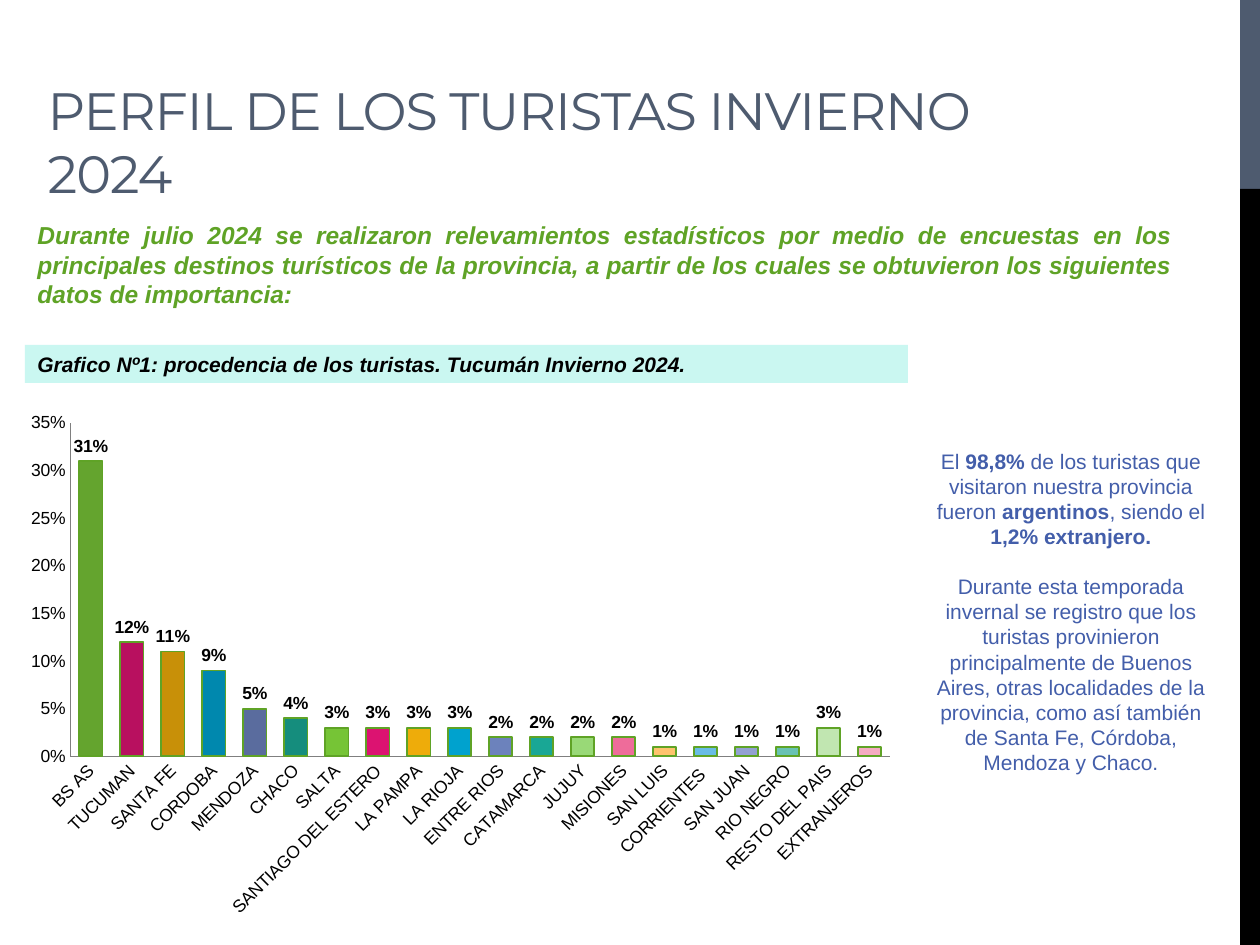
from lxml import etree
from pptx import Presentation
from pptx.chart.data import CategoryChartData
from pptx.dml.color import RGBColor
from pptx.enum.chart import XL_CHART_TYPE, XL_LABEL_POSITION, XL_TICK_MARK
from pptx.enum.shapes import MSO_SHAPE
from pptx.enum.text import MSO_ANCHOR, MSO_AUTO_SIZE, PP_ALIGN
from pptx.oxml.ns import qn
from pptx.util import Pt

COLUMN = XL_CHART_TYPE.COLUMN_CLUSTERED
OUTSIDE = XL_LABEL_POSITION.OUTSIDE_END
NO_TICK = XL_TICK_MARK.NONE
RECTANGLE = MSO_SHAPE.RECTANGLE
TOP, MIDDLE, BOTTOM = MSO_ANCHOR.TOP, MSO_ANCHOR.MIDDLE, MSO_ANCHOR.BOTTOM
LEFT, CENTER, JUSTIFY = PP_ALIGN.LEFT, PP_ALIGN.CENTER, PP_ALIGN.JUSTIFY
NO_FIT = MSO_AUTO_SIZE.NONE

PX_PER_INCH = 126
COLORS = {
    "slate": "4E5B6F",
    "black": "000000",
    "mint": "CAF7F1",
    "green": "5FA326",
    "blue": "435EAA",
    "axis": "7F7F7F",
}
BAR_COLORS = [
    "64A42E", "B8105F", "C89008", "0088AE", "5A6C9E", "158D7D",
    "76C436", "DC1371", "EEAC0A", "00A2CE", "6C82BC", "19A795",
    "99D977", "EE6C9A", "FEC36D", "69BCE5", "93A1D2", "69C2B3",
    "C1E6B1", "F5ABC2",
]
ORIGINS = [
    ("BS AS", 0.31), ("TUCUMAN", 0.12), ("SANTA FE", 0.11), ("CORDOBA", 0.09),
    ("MENDOZA", 0.05), ("CHACO", 0.04), ("SALTA", 0.03),
    ("SANTIAGO DEL ESTERO", 0.03), ("LA PAMPA", 0.03), ("LA RIOJA", 0.03),
    ("ENTRE RIOS", 0.02), ("CATAMARCA", 0.02), ("JUJUY", 0.02),
    ("MISIONES", 0.02), ("SAN LUIS", 0.01), ("CORRIENTES ", 0.01),
    ("SAN JUAN", 0.01), ("RIO NEGRO", 0.01), ("RESTO DEL PAIS", 0.03),
    ("EXTRANJEROS", 0.01),
]
INTRO = (
    "Durante julio 2024 se realizaron relevamientos estadísticos por medio de "
    "encuestas en los principales destinos turísticos de la provincia, a partir "
    "de los cuales se obtuvieron los siguientes datos de importancia:"
)
CAPTION = "Grafico Nº1: procedencia de los turistas. Tucumán Invierno 2024."
FINDINGS = [
    [
        ("El ", False),
        ("98,8%", True),
        (" de los turistas que visitaron nuestra provincia fueron ", False),
        ("argentinos", True),
        (", siendo el ", False),
        ("1,2% extranjero.", True),
    ],
    [
        ("Durante esta temporada invernal se registro que los turistas provinieron "
         "principalmente de Buenos Aires, otras localidades de la provincia, como "
         "así también de Santa Fe, Córdoba, Mendoza y Chaco.", False),
    ],
]


def px(value):
    return round(value * 914400 / PX_PER_INCH)


def box(*lengths):
    return [px(length) for length in lengths]


def rgb(name):
    return RGBColor.from_string(COLORS[name])


def set_font(font, size, color, name="Arial", bold=False, italic=False):
    font.name = name
    font.size = Pt(size)
    font.color.rgb = rgb(color)
    font.bold = bold
    font.italic = italic


def add_rectangle(slide, bounds, color):
    shape = slide.shapes.add_shape(RECTANGLE, *box(*bounds))
    shape.shadow.inherit = False
    shape.fill.solid()
    shape.fill.fore_color.rgb = rgb(color)
    shape.line.fill.background()
    return shape


def write_text(shape, paragraphs, size, color, alignment, anchor, italic=False, gap=0):
    frame = shape.text_frame
    frame.word_wrap = True
    frame.auto_size = NO_FIT
    frame.vertical_anchor = anchor
    for index, runs in enumerate(paragraphs):
        paragraph = frame.add_paragraph() if index else frame.paragraphs[0]
        paragraph.alignment = alignment
        if index:
            paragraph.space_before = Pt(gap)
        for text, bold in runs:
            run = paragraph.add_run()
            run.text = text
            set_font(run.font, size, color, bold=bold, italic=italic)


def set_title(slide, text):
    title = slide.shapes.title
    title.left, title.top, title.width, title.height = box(35, 21, 983, 189)
    frame = title.text_frame
    frame.word_wrap = True
    frame.auto_size = NO_FIT
    frame.vertical_anchor = BOTTOM
    paragraph = frame.paragraphs[0]
    paragraph.alignment = LEFT
    run = paragraph.add_run()
    run.text = text
    set_font(run.font, 30, "slate", name="Montserrat")
    run.font._element.set("spc", "-60")


def format_axis(axis):
    axis.has_major_gridlines = False
    axis.major_tick_mark = NO_TICK
    axis.minor_tick_mark = NO_TICK
    axis.format.line.color.rgb = rgb("axis")
    axis.format.line.width = Pt(0.75)
    set_font(axis.tick_labels.font, 10, "black")


def place_plot(chart, fractions):
    plot_area = chart._chartSpace.find(".//" + qn("c:plotArea"))
    for old_layout in plot_area.findall(qn("c:layout")):
        plot_area.remove(old_layout)
    layout = etree.Element(qn("c:layout"))
    manual = etree.SubElement(layout, qn("c:manualLayout"))
    settings = [("layoutTarget", "inner"), ("xMode", "edge"), ("yMode", "edge")]
    settings += zip("xywh", fractions)
    for tag, value in settings:
        etree.SubElement(manual, qn("c:" + tag)).set("val", str(value))
    plot_area.insert(0, layout)


def add_origin_chart(slide):
    data = CategoryChartData(number_format="0%")
    data.categories = [name for name, share in ORIGINS]
    data.add_series("Series 1", [share for name, share in ORIGINS])
    chart = slide.shapes.add_chart(COLUMN, *box(13, 403, 895, 526), data).chart
    chart.has_legend = False
    chart.has_title = False
    set_font(chart.font, 10, "black")
    place_plot(chart, (0.064, 0.038, 0.916, 0.634))

    format_axis(chart.category_axis)
    label_body = chart.category_axis._element.find(".//" + qn("a:bodyPr"))
    label_body.set("rot", "-2700000")
    label_body.set("vert", "horz")
    value_axis = chart.value_axis
    format_axis(value_axis)
    value_axis.minimum_scale = 0
    value_axis.maximum_scale = 0.35
    value_axis.major_unit = 0.05
    value_axis.tick_labels.number_format = "0%"
    value_axis.tick_labels.number_format_is_linked = False

    plot = chart.plots[0]
    plot.gap_width = 75
    plot.vary_by_categories = False
    plot.has_data_labels = True
    labels = plot.data_labels
    labels.show_value = True
    labels.position = OUTSIDE
    labels.number_format = "0%"
    labels.number_format_is_linked = False
    set_font(labels.font, 10, "black", bold=True)
    for index, color in enumerate(BAR_COLORS):
        bar = plot.series[0].points[index].format
        bar.fill.solid()
        bar.fill.fore_color.rgb = RGBColor.from_string(color)
        bar.line.color.rgb = rgb("green")
        bar.line.width = Pt(1)


def main():
    presentation = Presentation()
    presentation.slide_width, presentation.slide_height = box(1260, 945)
    slide = presentation.slides.add_slide(presentation.slide_layouts[5])
    add_rectangle(slide, (1240, 0, 20, 189), "slate")
    add_rectangle(slide, (1240, 189, 20, 756), "black")
    set_title(slide, "PERFIL DE LOS TURISTAS INVIERNO 2024")
    caption = add_rectangle(slide, (25, 345, 883, 38), "mint")
    write_text(caption, [[(CAPTION, True)]], 12, "black", LEFT, MIDDLE, italic=True)
    findings = slide.shapes.add_textbox(*box(917, 442, 308, 344))
    write_text(findings, FINDINGS, 12, "blue", CENTER, TOP, gap=14)
    intro = slide.shapes.add_textbox(*box(25, 214, 1160, 102))
    write_text(intro, [[(INTRO, True)]], 14, "green", JUSTIFY, TOP, italic=True)
    add_origin_chart(slide)
    presentation.save("out.pptx")


if __name__ == "__main__":
    main()
